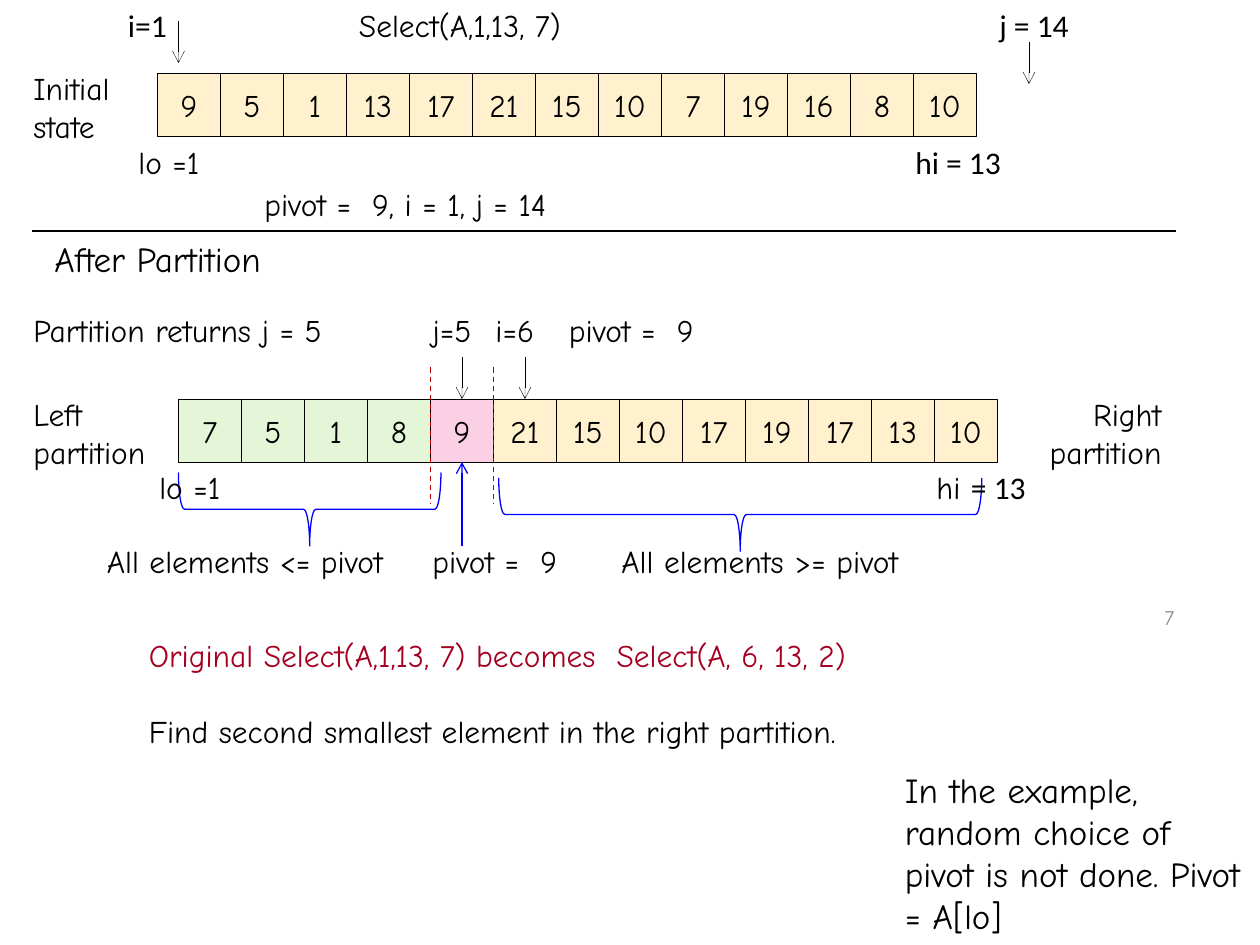
"""Quickselect slide: an array before and after partitioning around its pivot."""
from lxml import etree
from pptx import Presentation
from pptx import util as u
from pptx.dml.color import RGBColor
from pptx.enum import dml, shapes, text
from pptx.oxml.ns import qn

BLACK = RGBColor(0x00, 0x00, 0x00)
GREY = RGBColor(0x8C, 0x8C, 0x8C)
CRIMSON = RGBColor(0xA5, 0x00, 0x21)
RED = RGBColor(0xBB, 0x00, 0x00)
BLUE = RGBColor(0x00, 0x00, 0xFF)
CREAM = RGBColor(0xFF, 0xF1, 0xCE)
GREEN = RGBColor(0xE5, 0xF6, 0xD8)
PINK = RGBColor(0xFB, 0xD0, 0xE4)
COMIC, CALIBRI = "Comic Neue", "Calibri"
LEFT, CENTER, RIGHT = text.PP_ALIGN.LEFT, text.PP_ALIGN.CENTER, text.PP_ALIGN.RIGHT

deck = Presentation()
deck.slide_width, deck.slide_height = u.Inches(10), u.Inches(7.5)
slide = deck.slides.add_slide(deck.slide_layouts[6])
COLUMN, ROW = deck.slide_width / 120, deck.slide_height / 90
CELL = 6


def place(col, row, cols, rows):
    return int(col * COLUMN), int(row * ROW), int(cols * COLUMN), int(rows * ROW)


def write(frame, lines, size=18, align=LEFT, font=COMIC, color=BLACK):
    for number, words in enumerate(lines):
        line = frame.add_paragraph() if number else frame.paragraphs[0]
        line.alignment = align
        run = line.add_run()
        run.text = words
        run.font.size, run.font.name = u.Pt(size), font
        run.font.color.rgb = color


initial = [(n, CREAM) for n in (9, 5, 1, 13, 17, 21, 15, 10, 7, 19, 16, 8, 10)]
partitioned = [(n, GREEN) for n in (7, 5, 1, 8)] + [(9, PINK)]
partitioned += [(n, CREAM) for n in (21, 15, 10, 17, 19, 17, 13, 10)]

for start, row, array in ((15, 7, initial), (17, 38, partitioned)):
    for index, (number, tint) in enumerate(array):
        cell = slide.shapes.add_shape(
            shapes.MSO_SHAPE.RECTANGLE, *place(start + index * CELL, row, CELL, CELL))
        cell.shadow.inherit = False
        cell.fill.solid()
        cell.fill.fore_color.rgb = tint
        cell.line.color.rgb, cell.line.width = BLACK, u.Pt(0.25)
        cell.text_frame.word_wrap = False
        cell.text_frame.vertical_anchor = text.MSO_ANCHOR.MIDDLE
        write(cell.text_frame, [str(number)], align=CENTER)

for x1, y1, x2, y2, color, weight, arrow, dashed in (
    (17, 2, 17, 6, BLACK, 0.25, True, False),
    (98, 4, 98, 8, BLACK, 0.25, True, False),
    (44, 34, 44, 38, BLACK, 0.25, True, False),
    (50, 34, 50, 38, BLACK, 0.25, True, False),
    (44, 52, 44, 44, BLUE, 0.75, True, False),
    (3, 22, 112, 22, BLACK, 0.75, False, False),
    (41, 35, 41, 48, RED, 0.75, False, True),
    (47, 35, 47, 48, RED, 0.75, False, True),
):
    stroke = slide.shapes.add_connector(
        shapes.MSO_CONNECTOR.STRAIGHT, *place(x1, y1, x2, y2))
    stroke.line.color.rgb, stroke.line.width = color, u.Pt(weight)
    if dashed:
        stroke.line.dash_style = dml.MSO_LINE.DASH
    if arrow:
        etree.SubElement(stroke.line._get_or_add_ln(), qn("a:tailEnd"), type="arrow")
    etree.SubElement(stroke._element.spPr, qn("a:effectLst"))

for col, row, span in ((26, 36, 25), (67, 26, 46)):
    brace = slide.shapes.add_shape(shapes.MSO_SHAPE.LEFT_BRACE, *place(col, row, 7, span))
    brace.rotation = 270
    brace.shadow.inherit = False
    brace.fill.background()
    brace.line.color.rgb, brace.line.width = BLUE, u.Pt(0.75)

for col, row, cols, rows, lines, style in (
    (11, 0, 6.1, 4.8, ["i=1"], {"font": CALIBRI}),
    (33, 0, 28, 4.8, ["Select(A,1,13, 7)"], {}),
    (94, 0, 9.1, 4.8, ["j = 14"], {"font": CALIBRI}),
    (2, 6, 11.2, 8.5, ["Initial", "state"], {}),
    (12, 13, 8.6, 4.8, ["lo =1"], {}),
    (86, 13, 10.7, 4.8, ["hi = 13"], {"font": CALIBRI}),
    (24, 17, 35, 4.8, ["pivot =  9, i = 1, j = 14"], {}),
    (4, 22, 26.3, 5.3, ["After Partition"], {"size": 20}),
    (2, 29, 33.6, 4.8, ["Partition returns j = 5"], {}),
    (40, 29, 7.1, 4.8, ["j=5"], {}),
    (46, 29, 6.6, 4.8, ["i=6"], {}),
    (53, 29, 15.5, 4.8, ["pivot =  9"], {}),
    (2, 37, 14.8, 8.5, ["Left", "partition"], {}),
    (97, 37, 14.8, 8.5, ["Right", "partition"], {"align": RIGHT}),
    (14, 44, 8.6, 4.8, ["lo =1"], {}),
    (88, 44, 11.2, 4.8, ["hi "], {}),
    (9, 51, 31.3, 4.8, ["All elements <= pivot"], {}),
    (40, 51, 15.5, 4.8, ["pivot =  9"], {}),
    (58, 51, 31.3, 4.8, ["All elements >= pivot"], {}),
    (85, 56.4, 28, 4.8, ["7"], {"size": 12, "align": RIGHT, "color": GREY}),
    (13, 60, 78.6, 12.1, ["Original Select(A,1,13, 7) becomes  Select(A, 6, 13, 2)",
                          "Find second smallest element in the right partition."],
     {"color": CRIMSON}),
    (85, 72.6, 35, 17.4,
     ["In the example, random choice of pivot is not done. Pivot = A[lo]"], {"size": 20}),
):
    label = slide.shapes.add_textbox(*place(col, row, cols, rows)).text_frame
    label.word_wrap = cols in (28, 35) and row != 17
    write(label, lines, **style)
    if lines == ["7"]:
        label.vertical_anchor = text.MSO_ANCHOR.MIDDLE
    else:
        label.auto_size = text.MSO_AUTO_SIZE.SHAPE_TO_FIT_TEXT
    if lines == ["hi "]:
        upper_bound = label.paragraphs[0].add_run()
        upper_bound.text = "= 13"
        upper_bound.font.size, upper_bound.font.name = u.Pt(18), CALIBRI
        upper_bound.font.color.rgb = BLACK
    if style.get("color") == CRIMSON:
        goal = label.paragraphs[1]
        goal.space_before = u.Pt(21.8)
        goal.runs[0].font.color.rgb = BLACK

deck.save("out.pptx")
